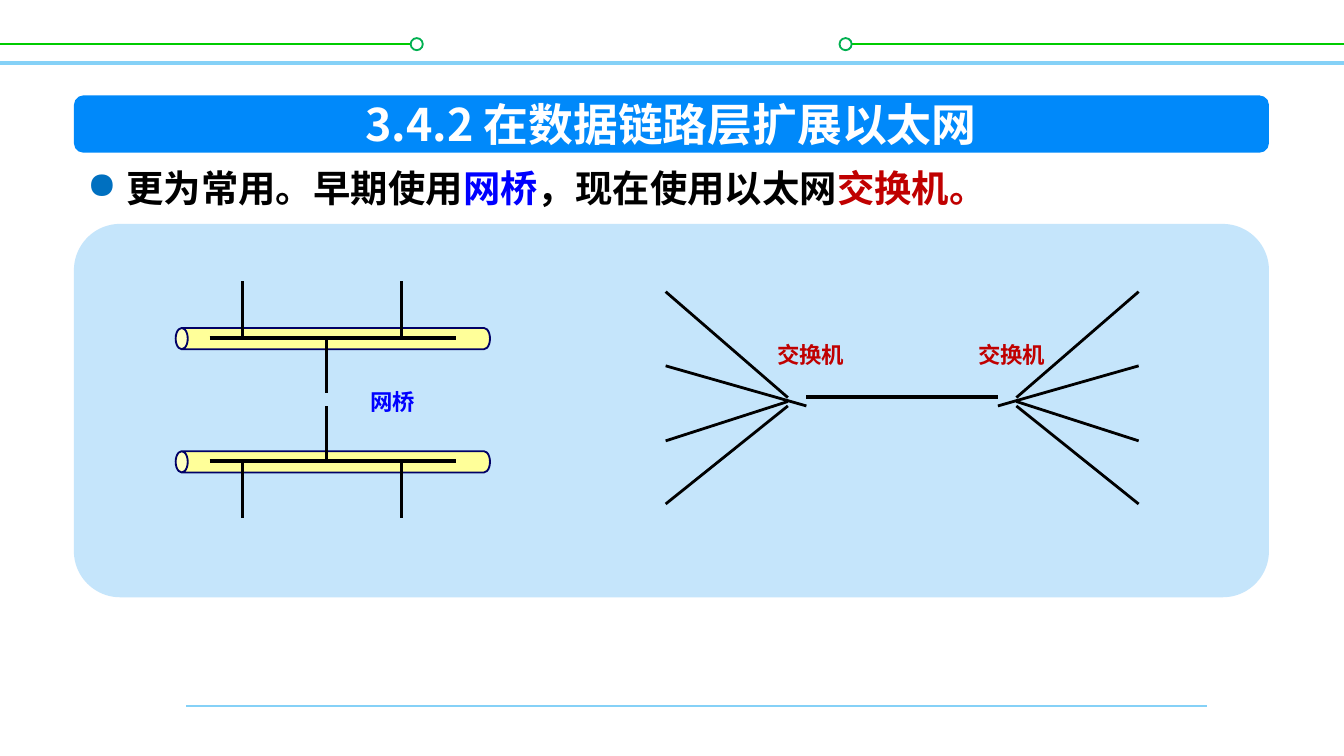
from lxml import etree
from pptx import Presentation
from pptx import util as u
from pptx.dml.color import RGBColor
from pptx.enum import shapes, text
from pptx.oxml.ns import qn

FONT = "Noto Sans CJK SC"
BLACK, WHITE, BLUE, RED = "000000", "FFFFFF", "0000FF", "C00000"
SKY, GREEN = "85D1F7", "00CC00"


def color(value):
    return RGBColor.from_string(value)


class Painter:
    def __init__(self, slide, font):
        self.slide = slide
        self.font = font

    def line(self, x1, y1, x2, y2, weight=1.5, stroke=BLACK):
        line = self.slide.shapes.add_connector(
            shapes.MSO_CONNECTOR.STRAIGHT, u.Pt(x1), u.Pt(y1), u.Pt(x2), u.Pt(y2))
        line.line.width = u.Pt(weight)
        line.line.color.rgb = color(stroke)
        properties = line._element.find(qn("p:spPr"))
        etree.SubElement(properties, qn("a:effectLst"))

    def shape(self, kind, x, y, width, height, fill, stroke=None, adjust=None, turn=0):
        shape = self.slide.shapes.add_shape(
            kind, u.Pt(x), u.Pt(y), u.Pt(width), u.Pt(height))
        shape.shadow.inherit = False
        shape.fill.solid()
        shape.fill.fore_color.rgb = color(fill)
        if stroke:
            shape.line.color.rgb = color(stroke)
            shape.line.width = u.Pt(1)
        else:
            shape.line.fill.background()
        if adjust is not None:
            shape.adjustments[0] = adjust
        shape.rotation = turn

    def label(self, x, y, width, height, spans, size, wrap=False, align=None, bullet=None):
        box = self.slide.shapes.add_textbox(u.Pt(x), u.Pt(y), u.Pt(width), u.Pt(height))
        frame = box.text_frame
        frame.word_wrap = wrap
        frame.auto_size = text.MSO_AUTO_SIZE.SHAPE_TO_FIT_TEXT
        para = frame.paragraphs[0]
        para.alignment = align
        if bullet:
            self.bullet(para, bullet)
        para.font.size = u.Pt(size)
        para.font.bold = True
        para.font.name = self.font
        east = etree.SubElement(para.font._element, qn("a:ea"))
        east.set("typeface", self.font)
        for words, ink in spans:
            span = para.add_run()
            span.text = words
            span.font.color.rgb = color(ink)

    def bullet(self, para, ink):
        para.line_spacing = u.Pt(27)
        properties = para._p.get_or_add_pPr()
        properties.set("marL", str(u.Pt(21)))
        properties.set("indent", str(u.Pt(-21)))
        tint = etree.SubElement(properties, qn("a:buClr"))
        etree.SubElement(tint, qn("a:srgbClr")).set("val", ink)
        etree.SubElement(properties, qn("a:buChar")).set("char", "●")


def draw_frame(painter):
    painter.line(0, 33.75, 720, 33.75, 2, SKY)
    for start, end, knob in ((0, 223, 220), (450, 720, 449.75)):
        painter.line(start, 23.6, end, 23.6, 1, GREEN)
        painter.shape(shapes.MSO_SHAPE.OVAL, knob, 20.4, 6.5, 6.5, WHITE, "00B050")
    painter.line(99.75, 378.2, 646.5, 378.2, 1.5, SKY)
    painter.shape(shapes.MSO_SHAPE.ROUNDED_RECTANGLE, 39.6, 120, 640.2, 200, "C5E5FB", adjust=0.124)


def draw_bridge(painter):
    for y, tap_end, stem_end in ((181, 150.5, 210.7), (247, 277.4, 217.4)):
        painter.shape(shapes.MSO_SHAPE.CAN, 172.6, y - 83.8, 11.4, 168.4,
                      "FFFF99", "000066", adjust=0.568, turn=270)
        painter.line(112.3, y, 244.2, y, 2.25)
        for x in (130, 215):
            painter.line(x, y, x, tap_end)
        painter.line(175, y, 175, stem_end)
    painter.label(191.3, 204.4, 38.8, 21.8, [("网桥", BLUE)], 12)


def draw_switches(painter):
    middle = 483.3
    branches = ((61.2, 217.5, 270), (51.3, 217.5, 196),
                (61.2, 213, 156.3), (61.2, 215.1, 236.2))
    for side in (1, -1):
        for reach, start, end in branches:
            painter.line(middle + side * reach, start, middle + side * 126.7, end)
    painter.line(middle - 51.3, 212.6, middle + 51.3, 212.6, 2.25)
    for x in (409.2, 517):
        painter.label(x, 179.2, 50.8, 21.8, [("交换机", RED)], 12)


def main():
    deck = Presentation()
    deck.slide_width, deck.slide_height = u.Pt(720), u.Pt(405)
    painter = Painter(deck.slides.add_slide(deck.slide_layouts[6]), FONT)
    draw_frame(painter)
    painter.label(39.6, 82.1, 630, 32.4, [
        ("更为常用。早期使用", BLACK), ("网桥", BLUE),
        ("，现在使用以太网", BLACK), ("交换机。", RED)], 20, wrap=True, bullet="0070C0")
    draw_bridge(painter)
    draw_switches(painter)
    painter.shape(shapes.MSO_SHAPE.ROUNDED_RECTANGLE, 39.6, 51.1, 640.2, 30.7, "0089FA", adjust=0.167)
    painter.label(182.2, 48.2, 354.2, 36, [("3.4.2 在数据链路层扩展以太网", WHITE)], 24,
                  align=text.PP_ALIGN.CENTER)
    deck.save("out.pptx")


if __name__ == "__main__":
    main()
